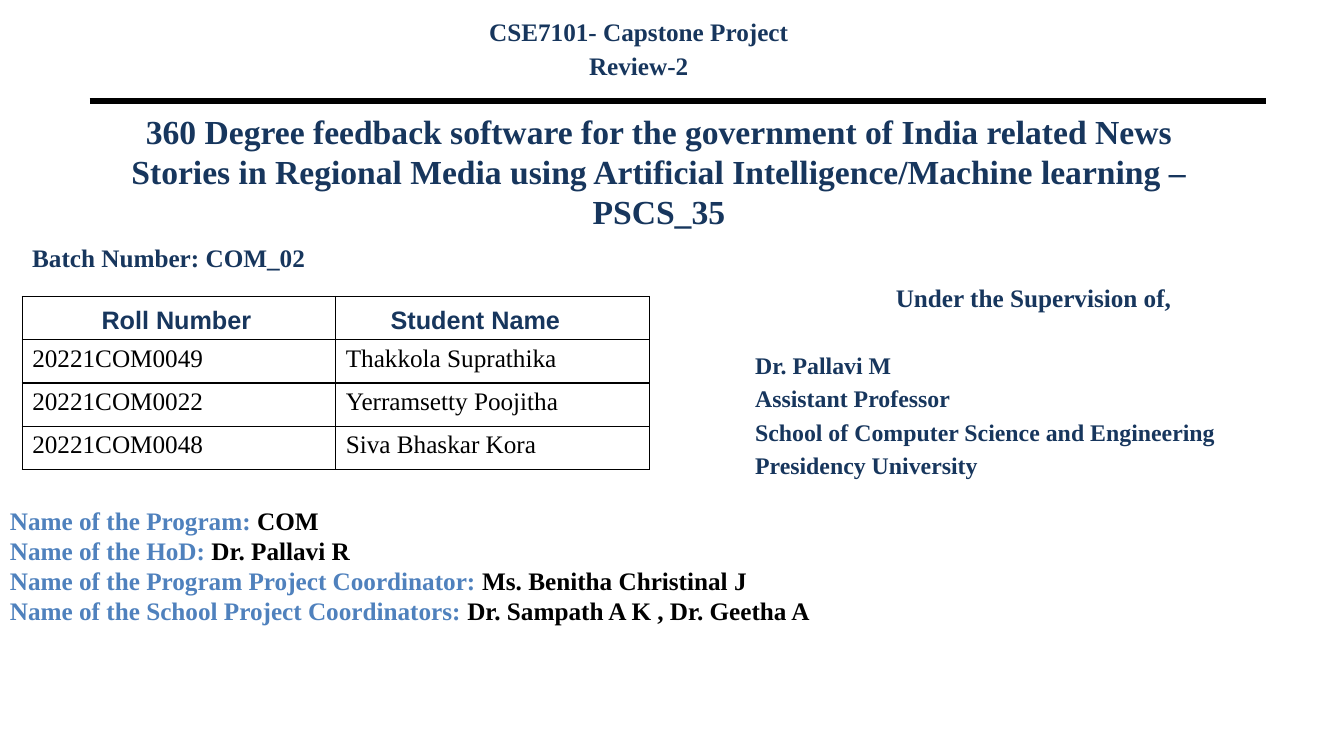
from dataclasses import dataclass, field

from lxml import etree
from pptx import Presentation
from pptx import util as u
from pptx.dml.color import RGBColor
from pptx.enum import shapes, text
from pptx.oxml import ns

NAVY = RGBColor(0x17, 0x36, 0x5D)
BLUE = RGBColor(0x4F, 0x81, 0xBD)
BLACK = RGBColor(0, 0, 0)
SERIF, SANS = "Times New Roman", "Arial"
LEFT, CENTER = text.PP_ALIGN.LEFT, text.PP_ALIGN.CENTER
TOP, MIDDLE = text.MSO_ANCHOR.TOP, text.MSO_ANCHOR.MIDDLE


@dataclass
class Span:
    words: str
    color: RGBColor = NAVY
    size: float = 18
    bold: bool = True
    font: str = SERIF


@dataclass
class Para:
    spans: list[Span]
    align: text.PP_ALIGN = LEFT
    before: float = 0


@dataclass
class TextBlock:
    left: float
    top: float
    width: float
    height: float
    paras: list[Para] = field(default_factory=list)
    anchor: text.MSO_ANCHOR = TOP


@dataclass
class Grid:
    left: float
    top: float
    height: float
    columns: list[float]
    row_height: float
    rows: int
    first_row: int
    cells: list[list[Para]]
    bordered: bool
    anchor: text.MSO_ANCHOR = TOP


def write_paras(frame, paras: list[Para]) -> None:
    for index, item in enumerate(paras):
        para = frame.paragraphs[0] if index == 0 else frame.add_paragraph()
        para.alignment = item.align
        if item.before:
            para.space_before = u.Pt(item.before)
        for span in item.spans:
            run = para.add_run()
            run.text = span.words
            run.font.name = span.font
            run.font.size = u.Pt(span.size)
            run.font.bold = span.bold
            run.font.color.rgb = span.color


def draw_block(page, block: TextBlock) -> None:
    box = page.shapes.add_textbox(u.Inches(block.left), u.Inches(block.top),
                                  u.Inches(block.width), u.Inches(block.height))
    box.text_frame.word_wrap = True
    box.text_frame.vertical_anchor = block.anchor
    write_paras(box.text_frame, block.paras)


def draw_rule(page) -> None:
    rule = page.shapes.add_connector(shapes.MSO_CONNECTOR.STRAIGHT, u.Inches(0.89),
                                     u.Inches(1), u.Inches(12.56), u.Inches(1))
    rule.line.color.rgb = BLACK
    rule.line.width = u.Pt(4.5)
    etree.SubElement(rule._element.spPr, ns.qn("a:effectLst"))


def style_cell(cell, bordered: bool) -> None:
    properties = cell._tc.get_or_add_tcPr()
    for side in ("lnL", "lnR", "lnT", "lnB"):
        border = etree.SubElement(properties, ns.qn(f"a:{side}"), w=str(u.Pt(1)))
        if bordered:
            fill = etree.SubElement(border, ns.qn("a:solidFill"))
            etree.SubElement(fill, ns.qn("a:srgbClr"), val=str(BLACK))
        else:
            etree.SubElement(border, ns.qn("a:noFill"))
    cell.fill.background()


def draw_grid(page, grid: Grid) -> None:
    frame = page.shapes.add_table(grid.rows, len(grid.columns), u.Inches(grid.left),
                                  u.Inches(grid.top), u.Inches(sum(grid.columns)),
                                  u.Inches(grid.height))
    table = frame.table
    table.first_row = table.horz_banding = False
    for column, width in zip(table.columns, grid.columns):
        column.width = u.Inches(width)
    for row in table.rows:
        row.height = u.Inches(grid.row_height)
    frame.height = u.Inches(grid.height)
    for cell in table.iter_cells():
        style_cell(cell, grid.bordered)
        cell.vertical_anchor = grid.anchor
    for row, paras in enumerate(grid.cells, start=grid.first_row):
        for column, para in enumerate(paras):
            write_paras(table.cell(row, column).text_frame, [para])


HEADINGS = ["Roll Number", "Student Name"]
STUDENTS = [
    ("20221COM0049", "Thakkola Suprathika"),
    ("20221COM0022", "Yerramsetty Poojitha"),
    ("20221COM0048", "Siva Bhaskar Kora"),
]
SUPERVISOR = [
    "Dr. Pallavi M",
    "Assistant Professor",
    "School of Computer Science and Engineering",
    "Presidency University",
]
ROLES = [
    ("Name of the Program: ", "COM"),
    ("Name of the HoD: ", "Dr. Pallavi R"),
    ("Name of the Program Project Coordinator: ", "Ms. Benitha Christinal J"),
    ("Name of the School Project Coordinators: ", "Dr. Sampath A K , Dr. Geetha A"),
]
TITLE = ("360 Degree feedback software for the government of India related News "
         "Stories in Regional Media using Artificial Intelligence/Machine learning "
         "– PSCS_35")

BLOCKS = [
    # Project title
    TextBlock(0.87, 1.17, 11.33, 1.05, [Para([Span(TITLE, size=24)], CENTER)], MIDDLE),
    # Batch
    TextBlock(0.22, 2.35, 5.45, 0.6, [Para([Span("Batch Number: COM_02")])]),
    # Supervisor, with a wider gap below the heading
    TextBlock(7.39, 2.75, 5.72, 2.21, [
        Para([Span("Under the Supervision of,")], CENTER),
        *(Para([Span(line, size=17)], before=3.4 if index else 27.4)
          for index, line in enumerate(SUPERVISOR)),
    ]),
    # Course heading
    TextBlock(3.33, 0.11, 6.01, 0.8, [
        Para([Span("CSE7101- Capstone Project")], CENTER),
        Para([Span("Review-2")], CENTER, 3.1),
    ]),
    # Programme roles
    TextBlock(0, 4.96, 13.4, 1.71, [
        Para([Span(role, BLUE), Span(name, BLACK)]) for role, name in ROLES
    ]),
]

GRIDS = [
    # Column headings, on an open grid
    Grid(0.61, 2.98, 2.4, [2.28, 3.65], 0.33, rows=6, first_row=0, bordered=False,
         anchor=MIDDLE,
         cells=[[Para([Span(name, font=SANS)], CENTER) for name in HEADINGS]]),
    # Students, below an empty ruled row that frames the headings
    Grid(0.22, 2.94, 1.72, [3.11, 3.11], 0.43, rows=4, first_row=1, bordered=True,
         cells=[[Para([Span(value, BLACK, bold=False)]) for value in student]
                for student in STUDENTS]),
]


def main() -> None:
    deck = Presentation()
    deck.slide_width, deck.slide_height = u.Inches(13.33), u.Inches(7.5)
    page = deck.slides.add_slide(deck.slide_layouts[6])
    draw_rule(page)
    for block in BLOCKS:
        draw_block(page, block)
    for grid in GRIDS:
        draw_grid(page, grid)
    deck.save("out.pptx")


if __name__ == "__main__":
    main()
